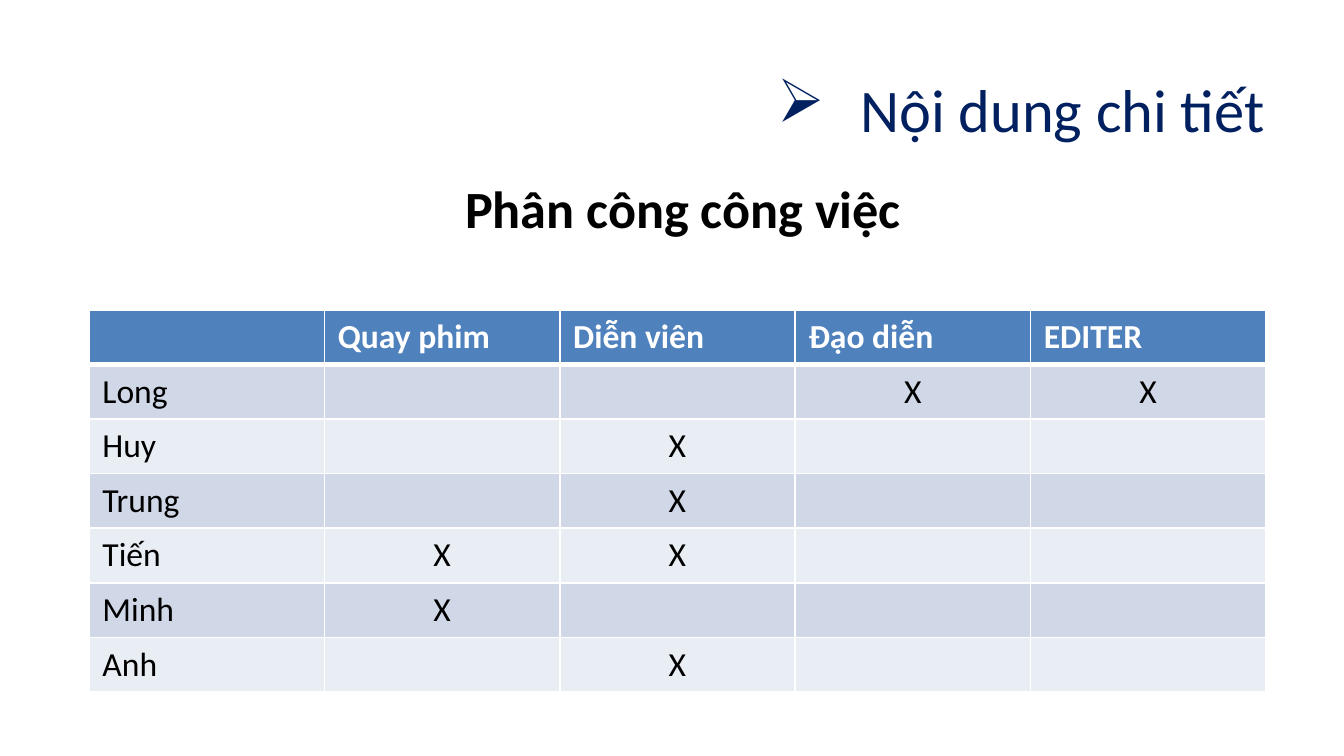
"""Build the slide that shows who does which job in the film crew."""
from lxml import etree
from pptx import Presentation
from pptx.dml.color import RGBColor
from pptx.enum.text import MSO_ANCHOR, PP_ALIGN
from pptx.oxml.ns import qn
from pptx.util import Emu, Pt

LEFT, CENTER, RIGHT = PP_ALIGN.LEFT, PP_ALIGN.CENTER, PP_ALIGN.RIGHT
TOP, MIDDLE, BOTTOM = MSO_ANCHOR.TOP, MSO_ANCHOR.MIDDLE, MSO_ANCHOR.BOTTOM
NAVY = RGBColor(0x00, 0x20, 0x60)
BLACK = RGBColor(0x00, 0x00, 0x00)
WHITE = RGBColor(0xFF, 0xFF, 0xFF)
HEADER_BLUE = RGBColor(0x4F, 0x81, 0xBD)
BANDS = [RGBColor(0xE9, 0xED, 0xF4), RGBColor(0xD0, 0xD8, 0xE8)]
PX = 9144000 / 1344


def px(*lengths):
    return [Emu(round(length * PX)) for length in lengths]


def write(frame, text, size=18, color=BLACK, bold=False, align=LEFT, anchor=TOP):
    frame.word_wrap = True
    frame.vertical_anchor = anchor
    paragraph = frame.paragraphs[0]
    paragraph.alignment = align
    run = paragraph.add_run()
    run.text = text
    run.font.name = "Calibri"
    run.font.size = Pt(size)
    run.font.bold = bold
    run.font.color.rgb = color
    return paragraph


prs = Presentation()
prs.slide_width, prs.slide_height = px(1344, 756)
slide = prs.slides.add_slide(prs.slide_layouts[6])

title = slide.shapes.add_textbox(*px(89, 63, 1189, 90))
heading = write(title.text_frame, "Nội dung chi tiết", size=32.4, color=NAVY,
                align=RIGHT, anchor=MIDDLE)
indent = px(83)[0]
heading_format = heading._p.get_or_add_pPr()
heading_format.set("marL", str(indent))
heading_format.set("indent", str(-indent))
etree.SubElement(heading_format, qn("a:buChar"), char="➢")

subtitle = slide.shapes.add_textbox(*px(386, 176, 594, 70))
subheading = write(subtitle.text_frame, "Phân công công việc", size=28, bold=True,
                   align=CENTER, anchor=BOTTOM)
subheading.space_before = Pt(5.6)

assignments = [
    ["", "Quay phim", "Diễn viên", "Đạo diễn", "EDITER"],
    ["Long", "", "", "X", "X"],
    ["Huy", "", "X", "", ""],
    ["Trung", "", "X", "", ""],
    ["Tiến", "X", "X", "", ""],
    ["Minh", "X", "", "", ""],
    ["Anh", "", "X", "", ""],
]
duties = slide.shapes.add_table(len(assignments), len(assignments[0]),
                                *px(89, 310, 1177, 382)).table

for row, entries in enumerate(assignments):
    is_header = row == 0
    border_widths = {"L": 1, "R": 1, "T": 3 if row == 1 else 1, "B": 3 if is_header else 1}
    for column, entry in enumerate(entries):
        cell = duties.cell(row, column)
        cell_format = cell._tc.get_or_add_tcPr()
        for side, width in border_widths.items():
            border = etree.SubElement(cell_format, qn(f"a:ln{side}"), w=str(Pt(width)))
            border_fill = etree.SubElement(border, qn("a:solidFill"))
            etree.SubElement(border_fill, qn("a:srgbClr"), val=str(WHITE))
        cell.fill.solid()
        cell.fill.fore_color.rgb = HEADER_BLUE if is_header else BANDS[row % 2]
        if entry:
            write(cell.text_frame, entry, color=WHITE if is_header else BLACK,
                  bold=is_header, align=CENTER if entry == "X" else LEFT)

prs.save("out.pptx")
